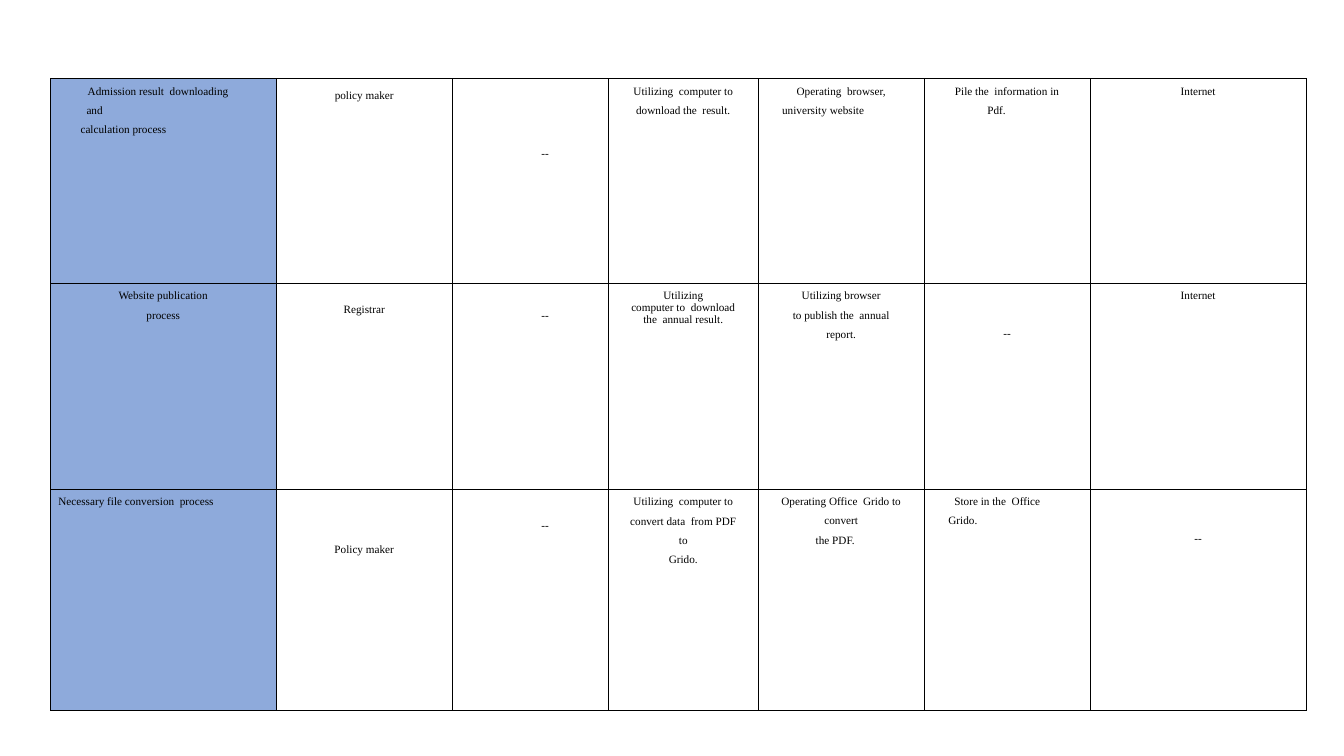
"""Build a slide with a process table: people, hardware, software, data and network."""
from lxml import etree
from pptx import Presentation
from pptx.dml.color import RGBColor
from pptx.enum.text import PP_ALIGN
from pptx.oxml.ns import qn
from pptx.util import Cm, Pt

LEFT, CENTER, RIGHT = PP_ALIGN.LEFT, PP_ALIGN.CENTER, PP_ALIGN.RIGHT
BLACK, BLUE = "000000", "8EAADB"
FONT, SIZE = "Times New Roman", 8
COL_WIDTHS = [5.69, 4.44, 3.93, 3.78, 4.18, 4.18, 5.45]
ROW_HEIGHTS = [5.16, 5.18, 5.59]
LINE = Pt(13.7)


def color(hex_value):
    return RGBColor.from_string(hex_value)


def para(text, align=CENTER, left=0, right=0, indent=0, line=LINE, before=0):
    return text, align, left, right, indent, line, before


dash = para("--", line=1.0)
dash_right = para("--", RIGHT, right=1.5, line=1.0)
internet = para("Internet", line=Pt(13.4))
use_computer = para("Utilizing  computer to", left=0.56, right=0.56)

# Each cell holds its top margin in points and its paragraphs.
rows = [
    [
        (0, [para("Admission result  downloading and", LEFT, 0.91, 1.1, 0.03),
             para("calculation process", LEFT, 0.76)]),
        (7.5, [para("policy maker", line=1.0)]),
        (49.2, [dash_right]),
        (0, [use_computer,
             para("download the  result.", left=0.43, right=0.43, before=0.2)]),
        (0, [para("Operating  browser,", left=0.89, right=0.89),
             para("university website", right=0.91)]),
        (0, [para("Pile the  information in", left=0.53, right=0.53),
             para("Pdf.", right=0.53)]),
        (0, [internet]),
    ],
    [
        (0, [para("Website publication", line=Pt(13.2)),
             para("process", line=Pt(14.2))]),
        (14.5, [para("Registrar", line=1.0)]),
        (18.6, [dash_right]),
        (0, [para("Utilizing", line=Pt(13.2)),
             para("computer to  download the  annual result.",
                  left=0.43, right=0.43, line=0.96, before=0.3)]),
        (0, [para("Utilizing browser", line=Pt(13.2)),
             para("to publish the  annual report.",
                  left=0.56, right=0.56, before=0.8)]),
        (31.4, [dash]),
        (0, [internet]),
    ],
    [
        (0, [para("Necessary file conversion  process", LEFT, 1.75, 0, -1.55)]),
        (39, [para("Policy maker", line=1.0)]),
        (22, [dash_right]),
        (0, [use_computer,
             para("convert data  from PDF to", left=0.51, right=0.51, before=0.2),
             para("Grido.")]),
        (0, [para("Operating Office  Grido to convert", left=0.3, right=0.3),
             para("the PDF.", right=0.3)]),
        (0, [para("Store in the  Office Grido.", LEFT, 0.61, 1.05, 0.15)]),
        (31, [dash]),
    ],
]

prs = Presentation()
prs.slide_width, prs.slide_height = Cm(33.87), Cm(19.05)
s = prs.slides.add_slide(prs.slide_layouts[6])

sp = s.shapes.add_table(len(ROW_HEIGHTS), len(COL_WIDTHS), Cm(1.27), Cm(1.98),
                        Cm(sum(COL_WIDTHS)), Cm(sum(ROW_HEIGHTS)))
table = sp.table
table.first_row = False
table.horz_banding = False
for column, width in zip(table.columns, COL_WIDTHS):
    column.width = Cm(width)
for row, height in zip(table.rows, ROW_HEIGHTS):
    row.height = Cm(height)

for i, row in enumerate(rows):
    for j, (top, paragraphs) in enumerate(row):
        cell = table.cell(i, j)
        cell.margin_left = cell.margin_right = cell.margin_bottom = 0
        cell.margin_top = Pt(top)

        widths = {"a:lnL": 0.5, "a:lnR": 0.5,
                  "a:lnT": 0.75 if i == 1 else 0.5,
                  "a:lnB": 0.75 if i == 0 else 0.5}
        tcPr = cell._tc.get_or_add_tcPr()
        for side, width in widths.items():
            ln = etree.SubElement(tcPr, qn(side), w=str(Pt(width)))
            fill = etree.SubElement(ln, qn("a:solidFill"))
            etree.SubElement(fill, qn("a:srgbClr"), val=BLACK)
        if j == 0:
            cell.fill.solid()
            cell.fill.fore_color.rgb = color(BLUE)
        else:
            cell.fill.background()

        tf = cell.text_frame
        for k, (text, align, left, right, indent, line, before) in enumerate(paragraphs):
            p = tf.paragraphs[0] if k == 0 else tf.add_paragraph()
            p.text = text
            p.alignment = align
            p.line_spacing = line
            p.space_before = Pt(before)
            p.font.name = FONT
            p.font.size = Pt(SIZE)
            p.font.color.rgb = color(BLACK)
            pPr = p._p.get_or_add_pPr()
            for name, length in (("marL", left), ("marR", right), ("indent", indent)):
                pPr.set(name, str(Cm(length)))

prs.save("out.pptx")
